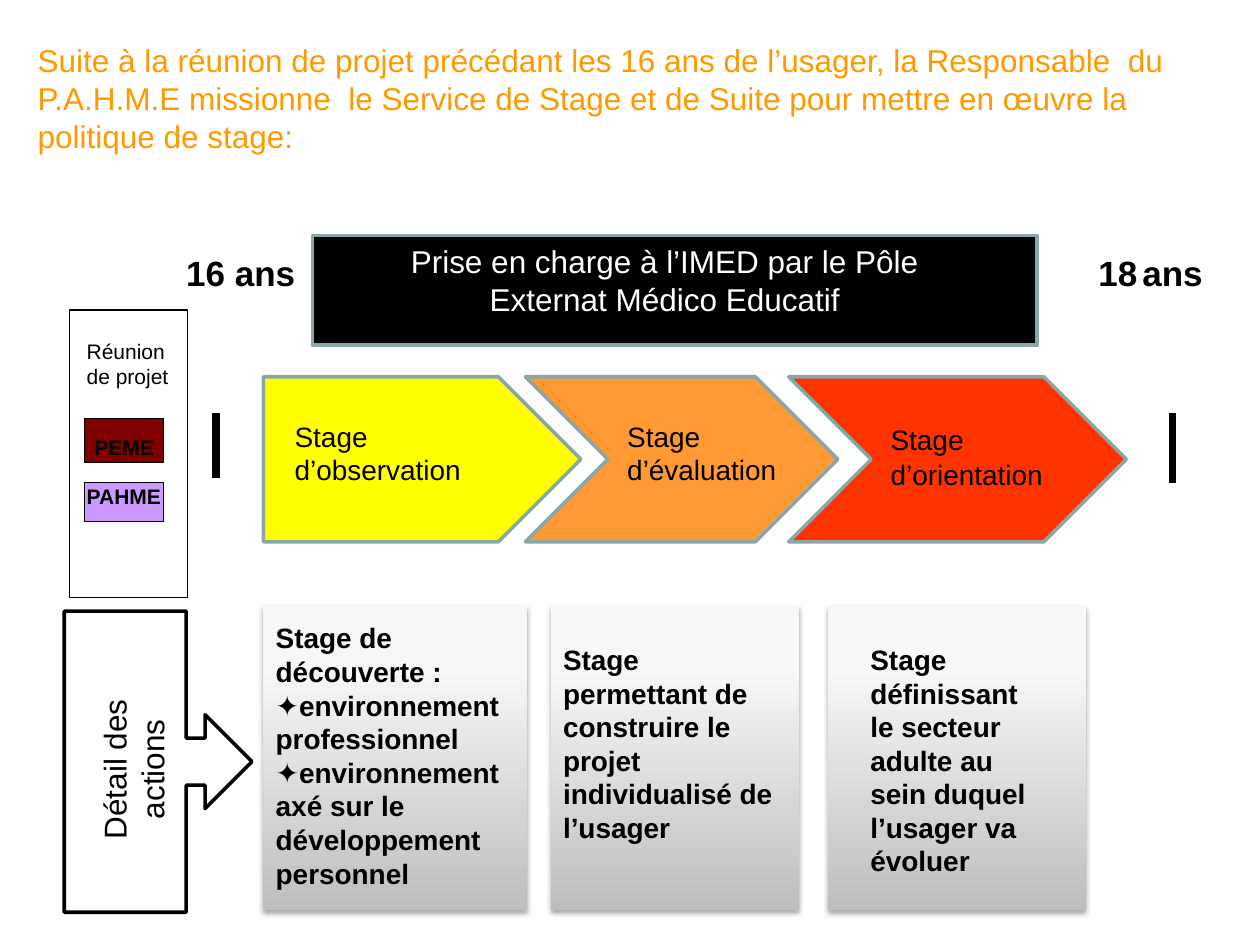
from lxml.etree import SubElement
from pptx import Presentation
from pptx.dml.color import RGBColor
from pptx.enum.shapes import MSO_SHAPE
from pptx.enum.text import MSO_AUTO_SIZE, PP_ALIGN
from pptx.oxml.ns import qn
from pptx.util import Inches, Pt


def colour(value):
    return RGBColor.from_string(value)


class StagePlan:
    """Draws the elements of the internship plan in one style."""

    frame_format = {"word_wrap": True, "auto_size": MSO_AUTO_SIZE.SHAPE_TO_FIT_TEXT}
    base_font = {"name": "Arial", "bold": False}
    card_stops = ((0, "BEBEBE"), (0.8, "F7F7F7"))

    def __init__(self, slide):
        self.slide = slide

    def _add(self, kind, box):
        shape = self.slide.shapes.add_shape(kind, *map(Inches, box))
        shape.shadow.inherit = False
        return shape

    def block(self, kind, box, fill, line="000000", width=0.75):
        shape = self._add(kind, box)
        shape.fill.solid()
        shape.fill.fore_color.rgb = colour(fill)
        shape.line.color.rgb = colour(line)
        shape.line.width = Pt(width)

    def card(self, kind, box):
        shape = self._add(kind, box)
        shape.line.fill.background()
        shape.fill.gradient()
        shape.fill.gradient_angle = 90
        for stop, (position, shade) in zip(shape.fill.gradient_stops, self.card_stops):
            stop.position = position
            stop.color.rgb = colour(shade)
        effects = shape._element.spPr.find(qn("a:effectLst"))
        shadow = SubElement(effects, qn("a:outerShdw"), blurRad=str(Pt(3.1)),
                            dist=str(Pt(1.8)), dir="5400000", rotWithShape="0")
        black = SubElement(shadow, qn("a:srgbClr"), val="000000")
        SubElement(black, qn("a:alpha"), val="35000")

    def text(self, box, paragraphs, size, ink="000000", bold=False,
             align=PP_ALIGN.LEFT, rotation=0):
        label = self.slide.shapes.add_textbox(*map(Inches, box))
        label.rotation = rotation
        frame = label.text_frame
        for name, value in self.frame_format.items():
            setattr(frame, name, value)
        for index, pieces in enumerate(paragraphs):
            paragraph = frame.add_paragraph() if index else frame.paragraphs[0]
            paragraph.alignment = align
            for piece in pieces:
                words, changes = (piece, {}) if isinstance(piece, str) else piece
                run = paragraph.add_run()
                run.text = words
                font_format = {**self.base_font, "size": Pt(size), "bold": bold, **changes}
                for name, value in font_format.items():
                    setattr(run.font, name, value)
                run.font.color.rgb = colour(ink)


def main():
    deck = Presentation()
    deck.slide_width, deck.slide_height = Inches(10), Inches(7.5)
    plan = StagePlan(deck.slides.add_slide(deck.slide_layouts[6]))
    border = {"line": "8AA6A8", "width": 2}
    process = MSO_SHAPE.FLOWCHART_PROCESS

    plan.text((0.2, 0.28, 9.37, 1.01), [[
        "Suite à la réunion de projet précédant les 16 ans de l’usager, la Responsable  du "
        "P.A.H.M.E missionne  le Service de Stage et de Suite pour mettre en œuvre la "
        "politique de stage:"]], 18, "FF9900")

    plan.block(MSO_SHAPE.RECTANGLE, (0.55, 2.46, 0.94, 2.28), "FFFFFF")
    plan.text((0.59, 2.64, 0.94, 0.5), [["Réunion de projet"]], 12)
    teams = (
        ("PEME", "800000", (0.67, 3.32, 0.63, 0.35), (0.59, 3.4, 0.79, 0.3), PP_ALIGN.CENTER),
        ("PAHME", "CC99FF", (0.67, 3.83, 0.63, 0.31), (0.59, 3.79, 1.06, 0.3), PP_ALIGN.LEFT),
    )
    for team, fill, box, label_box, align in teams:
        plan.block(MSO_SHAPE.RECTANGLE, box, fill)
        plan.text(label_box, [[team]], 12, bold=True, align=align)

    ages = (
        (["16 ans"], (1.38, 1.95, 1.97, 0.44), (1.69, 3.28, 0.05, 0.51)),
        (["18", (" ", {"size": Pt(10)}), "ans"], (8.62, 1.95, 1.34, 0.44),
         (9.28, 3.28, 0.05, 0.55)),
    )
    for age, label_box, mark_box in ages:
        plan.block(MSO_SHAPE.RECTANGLE, mark_box, "000000")
        plan.text(label_box, [age], 20, bold=True)

    stages = (
        (MSO_SHAPE.PENTAGON, 2.09, 2.52, "FFFF00", ["Stage d’observation"],
         (2.24, 3.28, 1.65, 0.64)),
        (MSO_SHAPE.CHEVRON, 4.17, 2.48, "FF9933", ["Stage d’évaluation"],
         (4.88, 3.28, 1.46, 0.64)),
        (MSO_SHAPE.CHEVRON, 6.26, 2.68, "FF3300",
         ["Stage", (" ", {"size": Pt(18)}), "d’orientation"], (6.97, 3.28, 1.42, 0.67)),
    )
    for kind, left, width, fill, stage, label_box in stages:
        plan.block(kind, (left, 2.99, width, 1.31), fill, **border)
        plan.text(label_box, [stage], 16)

    plan.block(MSO_SHAPE.RIGHT_ARROW_CALLOUT, (0.51, 4.85, 1.49, 2.39), "FFFFFF", width=2)
    plan.text((0.01, 5.75, 2.1, 0.71), [["Détail des"], ["actions"]], 18,
              align=PP_ALIGN.CENTER, rotation=270)

    star = ("✦", {"bold": False})
    details = (
        (process, 2.09, 2.09, (2.09, 4.88, 2.23, 2.26),
         [["Stage de découverte :"],
          [star, "environnement professionnel"],
          [star, "environnement axé sur le développement personnel"]]),
        (process, 4.37, 1.97, (4.37, 5.05, 1.89, 1.72),
         [["Stage permettant de construire le projet individualisé de l’usager"]]),
        (MSO_SHAPE.RECTANGLE, 6.57, 2.05, (6.81, 5.05, 1.5, 1.99),
         [["Stage définissant le secteur adulte au sein duquel l’usager va évoluer"]]),
    )
    for kind, left, width, label_box, detail in details:
        plan.card(kind, (left, 4.81, width, 2.41))
        plan.text(label_box, detail, 16, bold=True)

    plan.block(process, (2.48, 1.87, 5.75, 0.87), "000000", **border)
    plan.text((3.13, 1.87, 4.29, 0.71),
              [["Prise en charge à l’IMED par le Pôle Externat Médico Educatif"]],
              18, "FFFFFF", align=PP_ALIGN.CENTER)

    deck.save("out.pptx")


if __name__ == "__main__":
    main()
